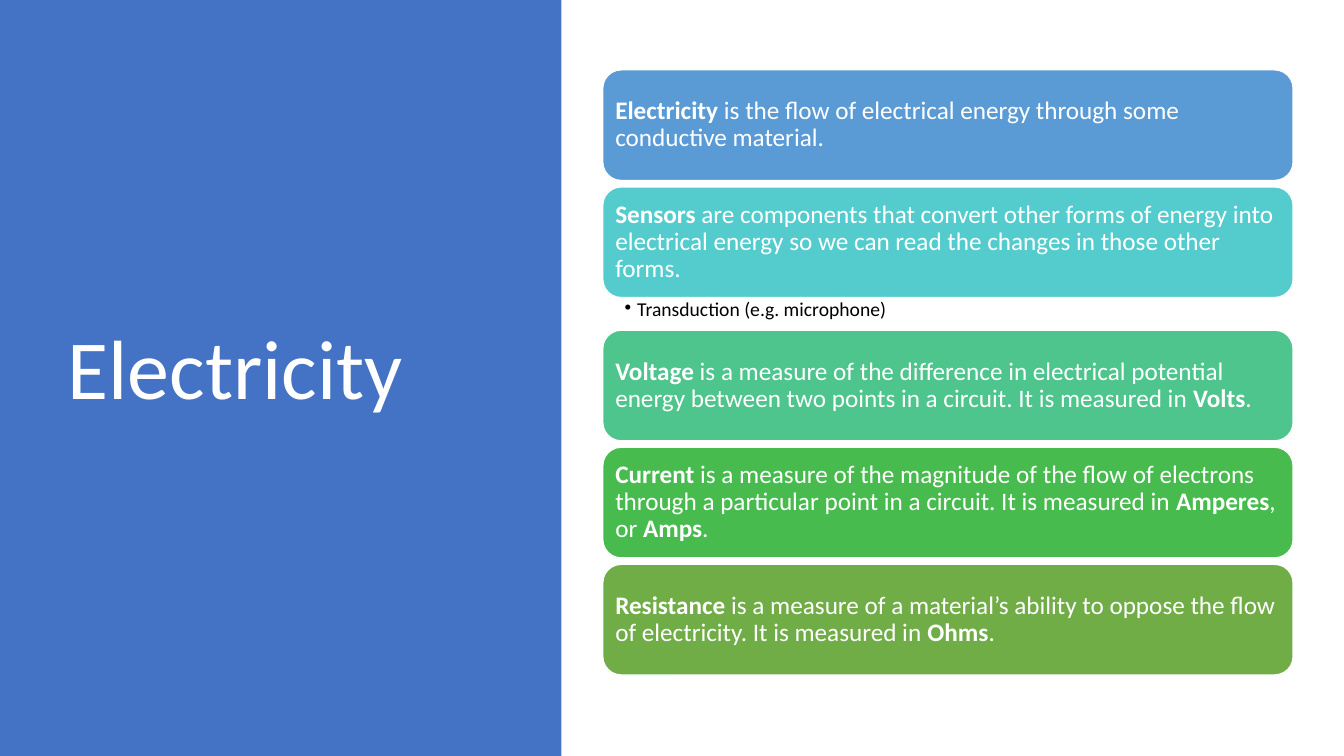
from dataclasses import dataclass

from lxml.etree import SubElement
from pptx import Presentation
from pptx.dml.color import RGBColor
from pptx.enum.shapes import MSO_SHAPE as Preset
from pptx.enum.text import MSO_ANCHOR as Anchor, PP_ALIGN as Align
from pptx.oxml.ns import qn
from pptx.shapes.autoshape import Shape
from pptx.slide import Slide
from pptx.text.text import TextFrame
from pptx.util import Cm, Pt

COLOURS = {
    "panel": "4472C4", "white": "FFFFFF", "black": "000000",
    "blue": "5B9BD5", "teal": "54CCCD", "mint": "4DC58D",
    "green": "48BB4F", "olive": "70AD47",
}
FONT = "Calibri"
LEFT, WIDTH, FIRST_TOP = 15.19, 17.4, 1.76
CARD_HEIGHT, CARD_GAP, NOTE_HEIGHT = 2.79, 0.16, 0.82


@dataclass
class Card:
    colour: str
    text: str  # asterisks enclose bold words
    note: str = ""


CARDS = [
    Card("blue", "*Electricity* is the flow of electrical energy through some "
                 "conductive material."),
    Card("teal", "*Sensors* are components that convert other forms of energy into "
                 "electrical energy so we can read the changes in those other forms.",
         note="Transduction (e.g. microphone)"),
    Card("mint", "*Voltage* is a measure of the difference in electrical potential "
                 "energy between two points in a circuit. It is measured in *Volts*."),
    Card("green", "*Current* is a measure of the magnitude of the flow of electrons "
                  "through a particular point in a circuit. It is measured in "
                  "*Amperes*, or *Amps*."),
    Card("olive", "*Resistance* is a measure of a material’s ability to oppose the flow "
                  "of electricity. It is measured in *Ohms*."),
]


def rgb(name: str) -> RGBColor:
    return RGBColor.from_string(COLOURS[name])


def set_margins(frame: TextFrame, left: float, top: float, right: float, bottom: float) -> None:
    frame.margin_left, frame.margin_top = Cm(left), Cm(top)
    frame.margin_right, frame.margin_bottom = Cm(right), Cm(bottom)


def write(frame: TextFrame, text: str, size: float, colour: str) -> None:
    frame.word_wrap = True
    para = frame.paragraphs[0]
    para.alignment = Align.LEFT
    para.line_spacing = 0.9
    for index, part in enumerate(text.split("*")):
        if part:
            span = para.add_run()
            span.text = part
            span.font.name, span.font.size = FONT, Pt(size)
            span.font.bold = index % 2 == 1
            span.font.color.rgb = rgb(colour)


def add_block(page: Slide, preset: Preset, left: float, top: float,
              width: float, height: float, colour: str) -> Shape:
    block = page.shapes.add_shape(preset, Cm(left), Cm(top), Cm(width), Cm(height))
    block.shadow.inherit = False
    block.fill.solid()
    block.fill.fore_color.rgb = rgb(colour)
    block.line.fill.background()
    return block


def add_card(page: Slide, card: Card, top: float) -> None:
    block = add_block(page, Preset.ROUNDED_RECTANGLE, LEFT, top, WIDTH, CARD_HEIGHT, card.colour)
    block.line.color.rgb = rgb("white")
    block.line.width = Pt(1)
    frame = block.text_frame
    frame.vertical_anchor = Anchor.MIDDLE
    set_margins(frame, 0.18, 0.18, 0.18, 0.18)
    write(frame, card.text, 18, "white")


def add_note(page: Slide, text: str, top: float) -> None:
    box = page.shapes.add_textbox(Cm(LEFT), Cm(top), Cm(WIDTH), Cm(NOTE_HEIGHT))
    set_margins(box.text_frame, 0.55, 0.06, 0.36, 0.06)
    write(box.text_frame, text, 14, "black")
    # Hanging bullet
    properties = box.text_frame.paragraphs[0]._p.get_or_add_pPr()
    properties.set("marL", str(Cm(0.32)))
    properties.set("indent", str(-Cm(0.32)))
    SubElement(properties, qn("a:buChar"), char="•")


def main() -> None:
    deck = Presentation()
    deck.slide_width, deck.slide_height = Cm(33.87), Cm(19.05)
    page = deck.slides.add_slide(deck.slide_layouts[5])

    # Title on a coloured side panel
    title = page.shapes.title
    title.left, title.top, title.width, title.height = Cm(1.45), Cm(1.73), Cm(10.57), Cm(15.29)
    title.text_frame.vertical_anchor = Anchor.MIDDLE
    write(title.text_frame, "Electricity", 60, "white")
    panel = add_block(page, Preset.RECTANGLE, 0, 0, 14.15, 19.05, "panel")
    title.element.addprevious(panel.element)

    # Stack of definitions
    top = FIRST_TOP
    for card in CARDS:
        add_card(page, card, top)
        top += CARD_HEIGHT
        if card.note:
            add_note(page, card.note, top)
        top += NOTE_HEIGHT if card.note else CARD_GAP

    deck.save("out.pptx")


if __name__ == "__main__":
    main()
